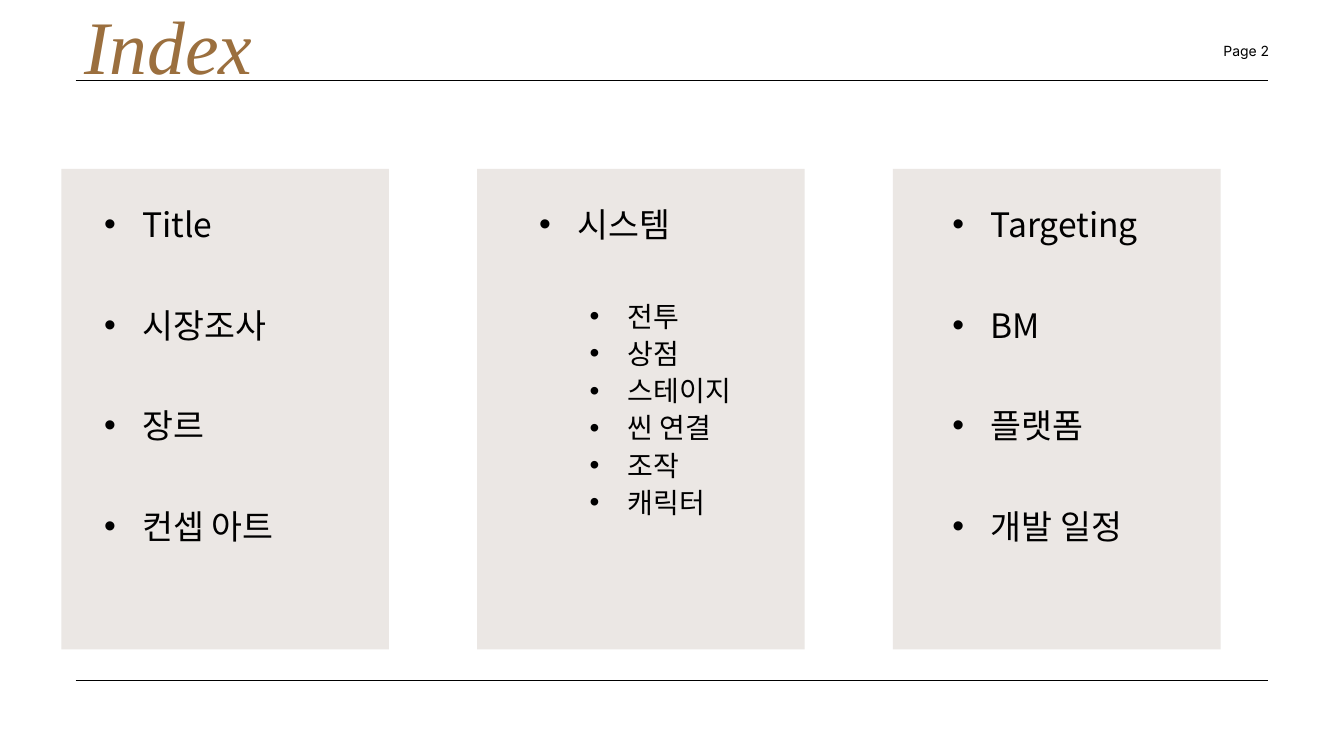
import pptx
import pptx.dml.color
import pptx.enum.shapes
import pptx.enum.text
import pptx.oxml
import pptx.oxml.ns
import pptx.util

COLUMNS, ROWS = 160, 90
INK, CARD, BRONZE = "000000", "EBE7E4", "9B6F3E"
ALIGN = pptx.enum.text.PP_ALIGN
ANCHOR = pptx.enum.text.MSO_ANCHOR
pt = pptx.util.Pt

BODY = {"size": pt(24), "name": "Noto Sans CJK KR"}
SUB_BODY = {**BODY, "size": pt(20)}
TOPIC = {"line_spacing": pt(25.9), "space_before": pt(45.9)}
FIRST_TOPIC = {**TOPIC, "space_before": pt(0)}
SUBTOPIC = {"line_spacing": pt(21.6), "space_before": pt(5), "level": 1}
FIRST_SUBTOPIC = {**SUBTOPIC, "space_before": pt(41.5)}


def rgb(value):
    return pptx.dml.color.RGBColor.from_string(value)


def apply(target, formats):
    for key, value in formats.items():
        setattr(target, key, value)


def add_child(parent, tag, **attributes):
    child = pptx.oxml.parse_xml(f"<{tag} {pptx.oxml.ns.nsdecls('a')}/>")
    for key, value in attributes.items():
        child.set(key, value)
    parent.append(child)


class IndexSlide:
    """Places elements on one slide, measured in grid columns and rows."""

    def __init__(self, deck):
        self.column = deck.slide_width / COLUMNS
        self.row = deck.slide_height / ROWS
        self.shapes = deck.slides.add_slide(deck.slide_layouts[6]).shapes

    def place(self, left, top, width, height):
        return [round(left * self.column), round(top * self.row),
                round(width * self.column), round(height * self.row)]

    def card(self, *area):
        panel = self.shapes.add_shape(
            pptx.enum.shapes.MSO_SHAPE.RECTANGLE, *self.place(*area))
        panel.shadow.inherit = False
        panel.fill.solid()
        panel.fill.fore_color.rgb = rgb(CARD)
        panel.line.fill.background()

    def rule(self, left, right, row):
        start, height, end, _ = self.place(left, row, right, row)
        rule = self.shapes.add_connector(
            pptx.enum.shapes.MSO_CONNECTOR.STRAIGHT, start, height, end, height)
        rule.line.color.rgb = rgb(INK)
        rule.line.width = pt(0.75)
        add_child(rule._element.spPr, "a:effectLst")

    def frame(self, area, formats):
        frame = self.shapes.add_textbox(*self.place(*area)).text_frame
        apply(frame, {"word_wrap": True, **formats})
        return frame

    def add_words(self, paragraph, words, layout, font, color=INK):
        apply(paragraph, layout)
        run = paragraph.add_run()
        run.text = words
        apply(run.font, font)
        run.font.color.rgb = rgb(color)
        add_child(run._r.get_or_add_rPr(), "a:ea", typeface=font["name"])

    def label(self, words, area, frame, layout, font, color=INK):
        paragraph = self.frame(area, frame).paragraphs[0]
        self.add_words(paragraph, words, layout, font, color)

    def bullets(self, area, items):
        """Fill a bulleted list from (words, layout, font) items."""
        frame = self.frame(area, {})
        for number, (words, layout, font) in enumerate(items):
            paragraph = frame.add_paragraph() if number else frame.paragraphs[0]
            properties = paragraph._p.get_or_add_pPr()
            indent = pptx.util.Inches(0.38)
            margin = indent + pptx.util.Inches(0.5) * layout.get("level", 0)
            properties.set("marL", str(margin))
            properties.set("indent", str(-indent))
            add_child(properties, "a:buFont", typeface="Arial")
            add_child(properties, "a:buChar", char="•")
            self.add_words(paragraph, words, layout, font)


def topics(*words):
    return [(word, TOPIC if number else FIRST_TOPIC, BODY)
            for number, word in enumerate(words)]


def subtopics(*words):
    return [(word, SUBTOPIC if number else FIRST_SUBTOPIC, SUB_BODY)
            for number, word in enumerate(words)]


def main():
    deck = pptx.Presentation()
    deck.slide_width = pptx.util.Inches(13.33)
    deck.slide_height = pptx.util.Inches(7.5)
    index = IndexSlide(deck)

    sections = [
        (11.2, topics("Title", "시장조사", "장르", "컨셉 아트")),
        (63, topics("시스템") + subtopics(
            "전투", "상점", "스테이지", "씬 연결", "조작", "캐릭터")),
        (112.2, topics("Targeting", "BM", "플랫폼", "개발 일정")),
    ]
    for number, (left, items) in enumerate(sections):
        index.card(7.3 + 49.5 * number, 20.1, 39, 57.2)
        index.bullets((left, 24.2, 47.8, 53.3), items)

    index.label("Index", (5.9, 1.7, 28.3, 9.5),
                {"vertical_anchor": ANCHOR.BOTTOM},
                {"alignment": ALIGN.CENTER, "line_spacing": pt(74.5)},
                {"size": pt(54), "name": "Times New Roman", "italic": True},
                BRONZE)
    no_margins = {f"margin_{side}": 0
                  for side in ("left", "top", "right", "bottom")}
    index.label("Page 2", (120.5, 4.7, 30.6, 2.2), no_margins,
                {"alignment": ALIGN.RIGHT, "line_spacing": pt(14)},
                {"size": pt(10), "name": "Inter"})
    for row in (9.6, 81):
        index.rule(9, 151, row)

    deck.save("out.pptx")


if __name__ == "__main__":
    main()
